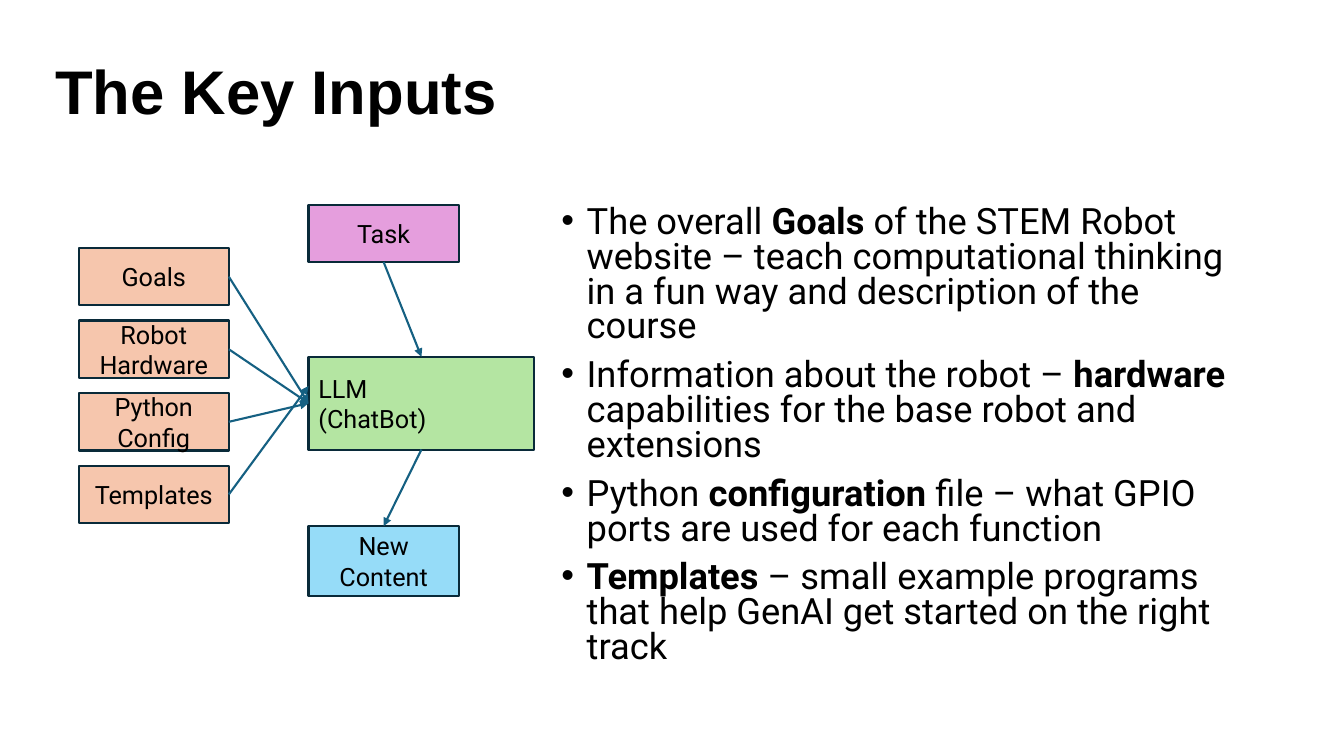
from dataclasses import dataclass

from lxml import etree
from pptx import Presentation
from pptx.dml.color import RGBColor
from pptx.enum.shapes import MSO_CONNECTOR, MSO_SHAPE
from pptx.enum.text import MSO_ANCHOR, PP_ALIGN
from pptx.oxml.ns import qn
from pptx.util import Inches, Pt

RECT = MSO_SHAPE.RECTANGLE
STRAIGHT = MSO_CONNECTOR.STRAIGHT
MIDDLE = MSO_ANCHOR.MIDDLE
LEFT, CENTER = PP_ALIGN.LEFT, PP_ALIGN.CENTER
TOP, WEST, BOTTOM, EAST = range(4)


@dataclass(frozen=True)
class Theme:
    head: str = "Arial"
    body: str = "Roboto"
    ink: str = "000000"
    edge: str = "092A39"
    arrow: str = "156082"
    input: str = "F6C6AD"
    task: str = "E59EDD"
    model: str = "B4E5A2"
    result: str = "96DCF8"
    title_size: float = 44
    list_size: float = 25.9
    node_size: float = 18
    stroke: float = 1.5


THEME = Theme()

INPUTS = ["Goals", "Robot Hardware", "Python\nConfig", "Templates"]

# Each bullet is a list of (text, bold) runs
POINTS = [
    [("The overall ", False), ("Goals", True),
     (" of the STEM Robot website – teach computational thinking in a fun way "
      "and description of the course", False)],
    [("Information about the robot – ", False), ("hardware", True),
     (" capabilities for the base robot and extensions", False)],
    [("Python ", False), ("configuration", True),
     (" file – what GPIO ports are used for each function", False)],
    [("Templates", True),
     (" – small example programs that help GenAI get started on the right track", False)],
]


def color(code):
    return RGBColor.from_string(code)


def style(run, face, size, bold=False):
    font = run.font
    font.name, font.size, font.bold = face, Pt(size), bold
    font.color.rgb = color(THEME.ink)


def add_text(slide, box):
    frame = slide.shapes.add_textbox(*map(Inches, box)).text_frame
    frame.word_wrap = True
    return frame


def add_node(slide, box, text, fill, align=CENTER):
    node = slide.shapes.add_shape(RECT, *map(Inches, box))
    node.shadow.inherit = False
    node.fill.solid()
    node.fill.fore_color.rgb = color(fill)
    node.line.color.rgb = color(THEME.edge)
    node.line.width = Pt(THEME.stroke)
    frame = node.text_frame
    frame.word_wrap = True
    frame.vertical_anchor = MIDDLE
    frame.text = text
    for para in frame.paragraphs:
        para.alignment = align
        style(para.runs[0], THEME.body, THEME.node_size)
    return node


def add_arrow(slide, start, exit_side, end=None, side=None, tip=(0, 0)):
    """Join start to a side of end, or to a free tip if no end is given."""
    x, y = map(Inches, tip)
    line = slide.shapes.add_connector(STRAIGHT, x, y, x, y)
    line.begin_connect(start, exit_side)
    if end is not None:
        line.end_connect(end, side)
    line.line.color.rgb = color(THEME.arrow)
    line.line.width = Pt(THEME.stroke)
    etree.SubElement(line.line._get_or_add_ln(), qn("a:tailEnd"), type="triangle")
    etree.SubElement(line._element.spPr, qn("a:effectLst"))


def add_title(slide, box):
    frame = add_text(slide, box)
    frame.vertical_anchor = MIDDLE
    para = frame.paragraphs[0]
    para.text = "The Key Inputs"
    para.line_spacing = 0.9
    style(para.runs[0], THEME.head, THEME.title_size, True)


def add_flow(slide, box):
    x, y, w, h = box
    wide, high, step = 1.49, 0.57, 0.72
    mid = x + 2.28

    # Boxes
    inputs = [add_node(slide, (x, y + 0.43 + i * step, wide, high), text, THEME.input)
              for i, text in enumerate(INPUTS)]
    task = add_node(slide, (mid, y, wide, high), "Task", THEME.task)
    model = add_node(slide, (mid, y + 1.51, w - 2.28, 0.92), "LLM\n(ChatBot)",
                     THEME.model, LEFT)
    result = add_node(slide, (mid, y + h - 0.69, wide, 0.69), "New Content", THEME.result)

    # Arrows
    for node in inputs[:-1]:
        add_arrow(slide, node, EAST, model, WEST)
    add_arrow(slide, inputs[-1], EAST, tip=(mid, y + 1.8))
    add_arrow(slide, task, BOTTOM, model, TOP)
    add_arrow(slide, model, BOTTOM, result, TOP)


def add_points(slide, box):
    frame = add_text(slide, box)
    for i, parts in enumerate(POINTS):
        para = frame.add_paragraph() if i else frame.paragraphs[0]
        para.line_spacing = 0.8
        para.space_before = Pt(10 if i else 0)
        props = para._p.get_or_add_pPr()
        props.set("marL", str(Inches(0.25)))
        props.set("indent", str(Inches(-0.25)))
        etree.SubElement(props, qn("a:buFont"), typeface="Arial")
        etree.SubElement(props, qn("a:buChar"), char="•")
        for text, bold in parts:
            run = para.add_run()
            run.text = text
            style(run, THEME.body, THEME.list_size, bold)


def main():
    deck = Presentation()
    deck.slide_width, deck.slide_height = Inches(13.33), Inches(7.5)
    slide = deck.slides.add_slide(deck.slide_layouts[6])
    add_title(slide, (0.45, 0.21, 11.5, 1.45))
    add_points(slide, (5.47, 2, 6.95, 4.76))
    add_flow(slide, (0.78, 2.03, 4.52, 3.88))
    deck.save("out.pptx")


if __name__ == "__main__":
    main()
